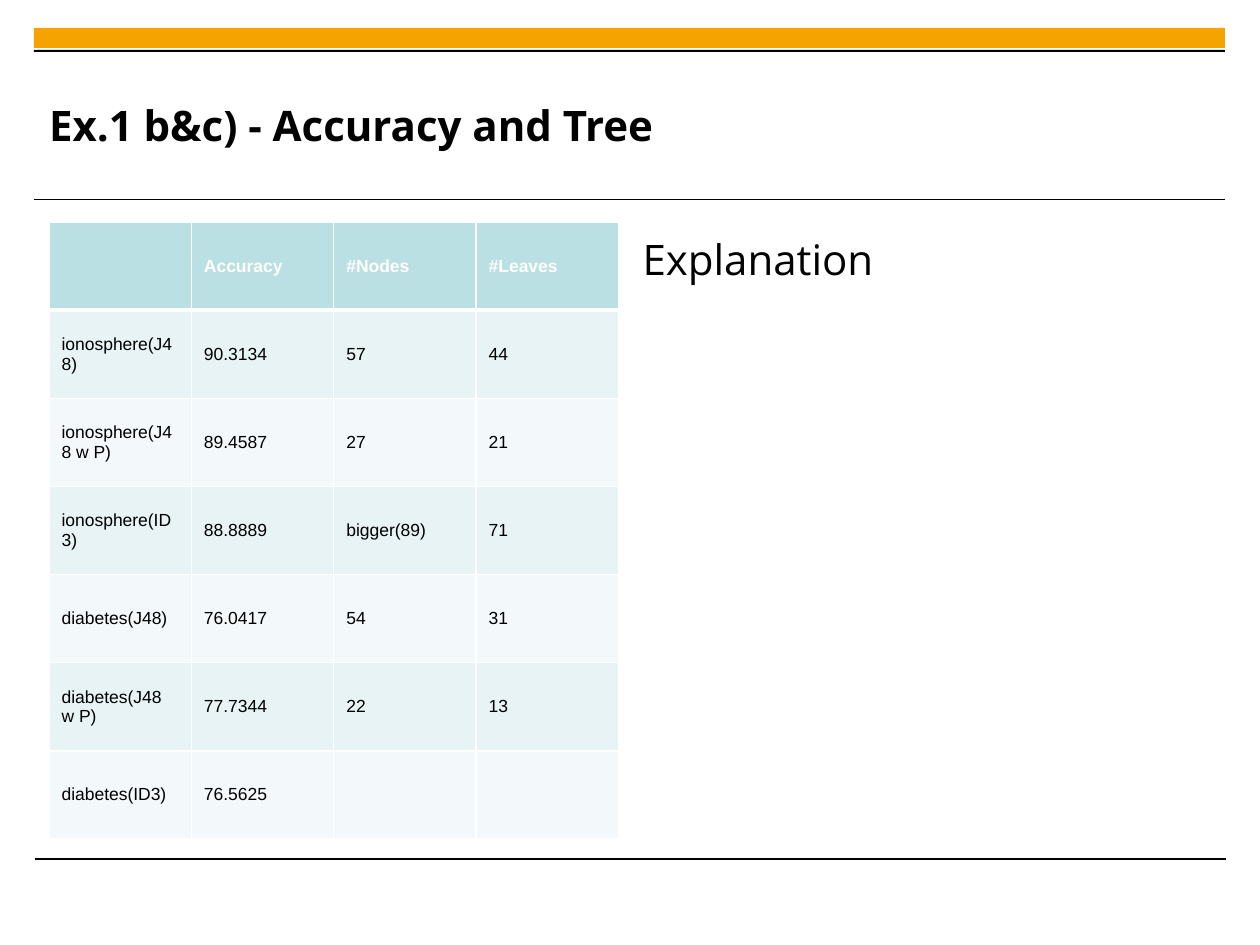
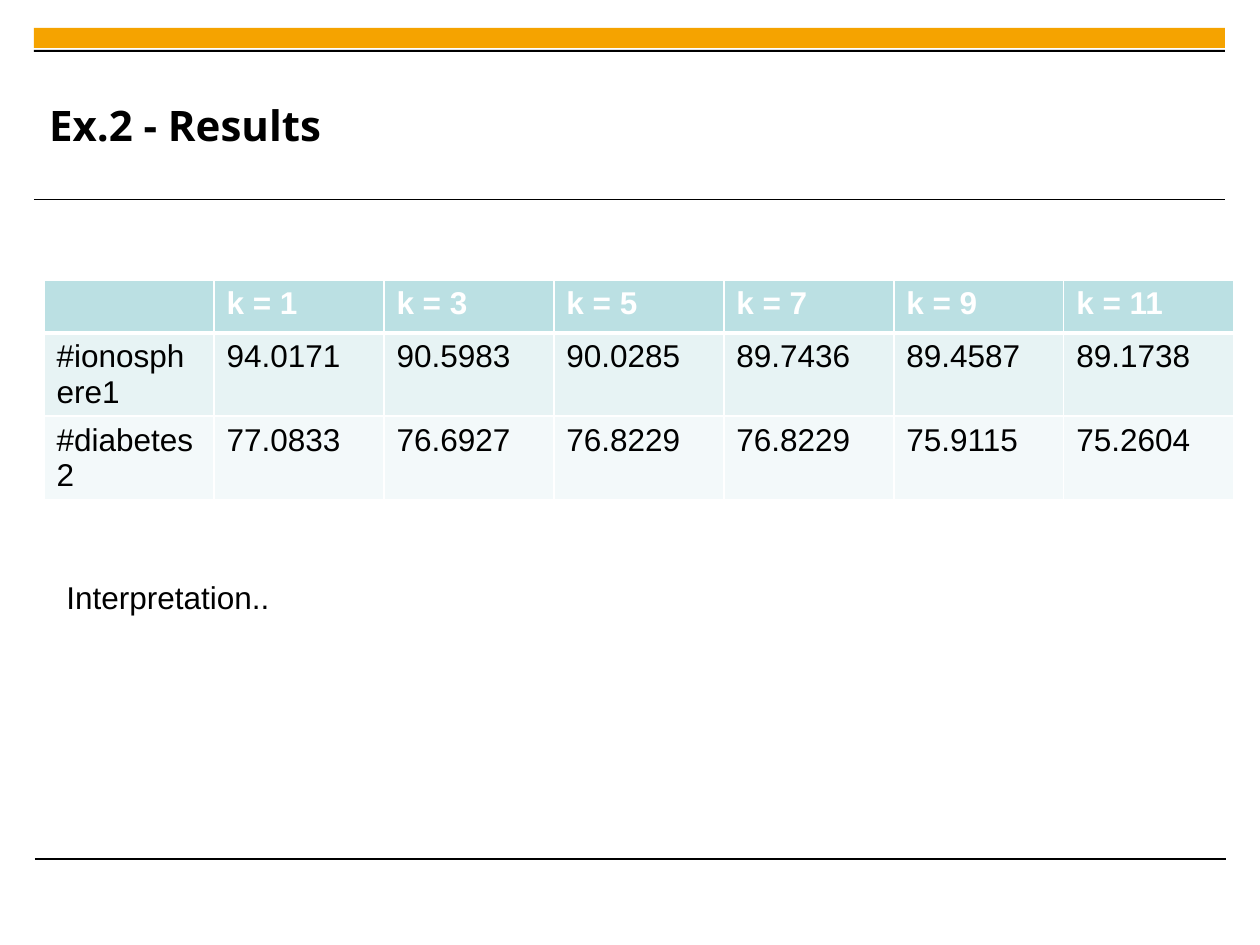
from lxml import etree
from pptx import Presentation
from pptx.dml.color import RGBColor
from pptx.enum.shapes import MSO_CONNECTOR, MSO_SHAPE
from pptx.enum.text import MSO_ANCHOR, MSO_AUTO_SIZE, PP_ALIGN
from pptx.oxml.ns import qn
from pptx.util import Emu, Pt

RECTANGLE, STRAIGHT = MSO_SHAPE.RECTANGLE, MSO_CONNECTOR.STRAIGHT
TOP, MIDDLE, LEFT = MSO_ANCHOR.TOP, MSO_ANCHOR.MIDDLE, PP_ALIGN.LEFT
NO_FIT, GROW = MSO_AUTO_SIZE.NONE, MSO_AUTO_SIZE.SHAPE_TO_FIT_TEXT

# Content
TREE_TITLE = "Ex.1 b&c) - Accuracy and Tree"
TREE_ROWS = [
    ("", "Accuracy", "#Nodes", "#Leaves"),
    ("ionosphere(J48)", "90.3134", "57", "44"),
    ("ionosphere(J48 w P)", "89.4587", "27", "21"),
    ("ionosphere(ID3)", "88.8889", "bigger(89)", "71"),
    ("diabetes(J48)", "76.0417", "54", "31"),
    ("diabetes(J48 w P)", "77.7344", "22", "13"),
    ("diabetes(ID3)", "76.5625", "", ""),
]
TREE_NOTE = "Explanation"
RESULT_TITLE = "Ex.2 - Results"
RESULT_ROWS = [
    ("", "k = 1", "k = 3", "k = 5", "k = 7", "k = 9", "k = 11"),
    ("#ionosphere1", "94.0171", "90.5983", "90.0285", "89.7436", "89.4587", "89.1738"),
    ("#diabetes2", "77.0833", "76.6927", "76.8229", "76.8229", "75.9115", "75.2604"),
]
RESULT_NOTE = "Interpretation.."

# Shared style, lengths in pixels
COLORS = {"band": "F5A300", "black": "000000", "white": "FFFFFF",
          "header": "BBE0E3", "odd": "E7F3F4", "even": "F3F9FA"}
HEADING_FONT, TABLE_FONT = "Open Sans", "Arial"
PIXEL = 914400 // 126
BANDS = [(34, 28, 1191, 20, "band"), (34, 50, 1191, 2, "black")]
RULES = [(34, 200), (35, 859)]
RULE_WIDTH = 1191


def px(*lengths):
    return [Emu(length * PIXEL) for length in lengths]


def color(name):
    return RGBColor.from_string(COLORS[name])


def place(shape, left, top, width, height):
    shape.left, shape.top, shape.width, shape.height = px(left, top, width, height)


def style_text(frame, font, size, tint="black", bold=False):
    for para in frame.paragraphs:
        para.alignment = LEFT
        for span in para.runs:
            span.font.name, span.font.size, span.font.bold = font, Pt(size), bold
            span.font.color.rgb = color(tint)


def add_page(layout, title):
    page = deck.slides.add_slide(deck.slide_layouts[layout])
    # Bands and rules
    for left, top, width, height, tint in BANDS:
        band = page.shapes.add_shape(RECTANGLE, *px(left, top, width, height))
        band.shadow.inherit = False
        band.fill.solid()
        band.fill.fore_color.rgb = color(tint)
        band.line.fill.background()
    for left, top in RULES:
        rule = page.shapes.add_connector(STRAIGHT, *px(left, top, left + RULE_WIDTH, top))
        rule.line.color.rgb = color("black")
        rule.line.width = Pt(0.6)
        etree.SubElement(rule._element.spPr, qn("a:effectLst"))
    # Title
    heading = page.shapes.title
    place(heading, 49, 67, 948, 116)
    frame = heading.text_frame
    frame.text = title
    frame.auto_size, frame.vertical_anchor = NO_FIT, MIDDLE
    frame.margin_left = frame.margin_top = frame.margin_right = frame.margin_bottom = 0
    style_text(frame, HEADING_FONT, 24, bold=True)
    return page


def add_borders(cell, bottom):
    properties = cell._tc.get_or_add_tcPr()
    widths = {"a:lnL": 1, "a:lnR": 1, "a:lnT": 1, "a:lnB": bottom}
    for position, (tag, points) in enumerate(widths.items()):
        border = etree.Element(qn(tag), w=str(Pt(points)))
        fill = etree.SubElement(border, qn("a:solidFill"))
        etree.SubElement(fill, qn("a:srgbClr"), val=COLORS["white"])
        properties.insert(position, border)


def add_grid(page, rows, left, top, column_width, row_height, size, anchor):
    columns = len(rows[0])
    table = page.shapes.add_table(len(rows), columns, *px(
        left, top, column_width * columns, row_height * len(rows))).table
    table.first_row = table.horz_banding = False
    for row_index, values in enumerate(rows):
        is_header = row_index == 0
        tint = "header" if is_header else ("even", "odd")[row_index % 2]
        for column_index, value in enumerate(values):
            cell = table.cell(row_index, column_index)
            cell.text = value
            cell.vertical_anchor = anchor
            style_text(cell.text_frame, TABLE_FONT, size,
                       "white" if is_header else "black", is_header)
            cell.fill.solid()
            cell.fill.fore_color.rgb = color(tint)
            add_borders(cell, 3 if is_header else 1)


deck = Presentation()
deck.slide_width, deck.slide_height = px(1260, 945)

# Accuracy and tree sizes
page = add_page(1, TREE_TITLE)
add_grid(page, TREE_ROWS, 49, 222, 142.4, 88.2, 10, MIDDLE)
body = page.placeholders[1]
place(body, 630, 222, 595, 617)
body.text_frame.text = TREE_NOTE
body.text_frame.auto_size = NO_FIT
style_text(body.text_frame, HEADING_FONT, 24)
para = body.text_frame.paragraphs[0]
para.line_spacing = 1.1
properties = para._p.get_or_add_pPr()
properties.set("marL", "0")
properties.set("indent", "0")
etree.SubElement(properties, qn("a:buNone"))

# Results for each k
page = add_page(5, RESULT_TITLE)
add_grid(page, RESULT_ROWS, 44, 280, 170, 53, 18, TOP)
box = page.shapes.add_textbox(*px(54, 572, 1172, 280))
box.text_frame.word_wrap = True
box.text_frame.auto_size = GROW
box.text_frame.text = RESULT_NOTE
style_text(box.text_frame, TABLE_FONT, 18)

deck.save("out.pptx")
